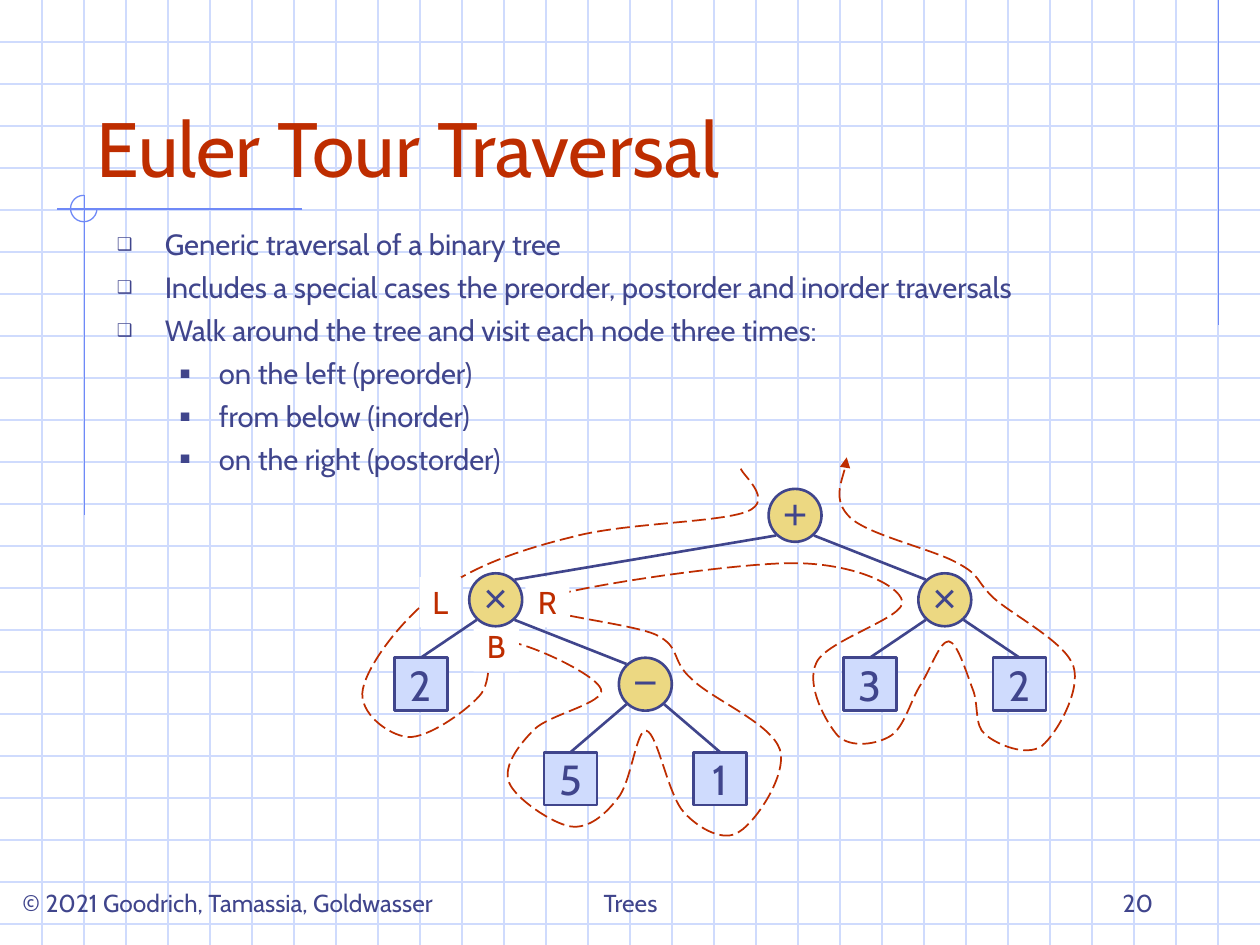
"""Build the Euler tour traversal slide."""
from lxml import etree
from pptx import Presentation
from pptx.dml.color import RGBColor
from pptx.enum.dml import MSO_LINE
from pptx.enum.shapes import MSO_CONNECTOR, MSO_SHAPE
from pptx.enum.text import MSO_ANCHOR, PP_ALIGN
from pptx.oxml.ns import qn
from pptx.util import Inches, Pt

STRAIGHT = MSO_CONNECTOR.STRAIGHT
RECT, OVAL, ARC = MSO_SHAPE.RECTANGLE, MSO_SHAPE.OVAL, MSO_SHAPE.ARC
LEFT, CENTER, RIGHT = PP_ALIGN.LEFT, PP_ALIGN.CENTER, PP_ALIGN.RIGHT
TOP, MIDDLE, BOTTOM = MSO_ANCHOR.TOP, MSO_ANCHOR.MIDDLE, MSO_ANCHOR.BOTTOM
LONG_DASH = MSO_LINE.LONG_DASH
THEME = {
    "ink": RGBColor.from_string("40458C"),
    "red": RGBColor.from_string("BE2D00"),
    "grid": RGBColor.from_string("CFDBFD"),
    "accent": RGBColor.from_string("6F89F7"),
    "gold": RGBColor.from_string("ECD882"),
    "white": RGBColor.from_string("FFFFFF"),
    "font": "Cabin", "symbols": "Arial",
    "title": 44, "body": 16.7, "node": 24, "label": 18, "footer": 14,
    "thin": 0.74, "thick": 1.5, "dash": 1,
}

prs = Presentation()
prs.slide_width, prs.slide_height = Inches(10), Inches(7.5)
s = prs.slides.add_slide(prs.slide_layouts[6])


def add_line(x1, y1, x2, y2, color, width):
    line = s.shapes.add_connector(
        STRAIGHT, Inches(x1), Inches(y1), Inches(x2), Inches(y2))
    line.line.color.rgb = THEME[color]
    line.line.width = Pt(THEME[width])
    etree.SubElement(line._element.spPr, qn("a:effectLst"))


def set_text(sp, text, size, color="ink", font="font", align=LEFT, anchor=TOP, wrap=True):
    tf = sp.text_frame
    tf.text = text
    tf.word_wrap = wrap
    tf.vertical_anchor = anchor
    for p in tf.paragraphs:
        p.alignment = align
        for r in p.runs:
            r.font.name = THEME[font]
            r.font.size = Pt(THEME[size])
            r.font.color.rgb = THEME[color]
    return tf


for i in range(1, 23):
    add_line(0, i / 3, 10, i / 3, "grid", "thin")
for i in range(1, 30):
    add_line(i / 3, 0, i / 3, 7.5, "grid", "thin")
for ends in [(9.67, 0, 9.67, 2.58), (2.4, 1.66, 0.45, 1.66), (0.67, 1.55, 0.67, 4.09)]:
    add_line(*ends, "accent", "thin")
ring = s.shapes.add_shape(ARC, Inches(0.56), Inches(1.55), Inches(0.21), Inches(0.21))
ring.adjustments[0], ring.adjustments[1] = 0, 162
ring.fill.background()
ring.line.color.rgb = THEME["accent"]
ring.line.width = Pt(THEME["thin"])
ring.shadow.inherit = False

bullets = [
    (0, "Generic traversal of a binary tree"),
    (0, "Includes a special cases the preorder, postorder and inorder traversals"),
    (0, "Walk around the tree and visit each node three times:"),
    (1, "on the left (preorder)"),
    (1, "from below (inorder)"),
    (1, "on the right (postorder)"),
]
texts = [
    (0.67, 0.33, 8.5, 1.25, "Euler Tour Traversal", "title", "red", LEFT, BOTTOM),
    (0.08, 6.83, 3.92, 0.5, "© 2021 Goodrich, Tamassia, Goldwasser", "footer", "ink", LEFT, BOTTOM),
    (3.42, 6.83, 3.17, 0.5, "Trees", "footer", "ink", CENTER, BOTTOM),
    (7.17, 6.83, 2.08, 0.5, "20", "footer", "ink", RIGHT, BOTTOM),
    (0.83, 1.75, 8.67, 2.33, "\n".join(t for _, t in bullets), "body", "ink", LEFT, TOP),
]
for x, y, w, h, text, size, color, align, anchor in texts:
    sp = s.shapes.add_textbox(Inches(x), Inches(y), Inches(w), Inches(h))
    tf = set_text(sp, text, size, color, align=align, anchor=anchor)

levels = [("❑", 0.38, 0.38), ("■", 0.81, 0.31)]
for p, (level, _) in zip(tf.paragraphs, bullets):
    mark, margin, hang = levels[level]
    p.level = level
    p.space_before = Pt(4.5)
    pPr = p._p.get_or_add_pPr()
    pPr.set("marL", str(Inches(margin)))
    pPr.set("indent", str(-Inches(hang)))
    etree.SubElement(pPr, qn("a:buSzPct"), val="60000")
    etree.SubElement(pPr, qn("a:buFont"), typeface=THEME["symbols"])
    etree.SubElement(pPr, qn("a:buChar"), char=mark)

tour_start = (5.88, 3.72)
tour_curves = [
    (5.89, 3.77, 6.15, 3.97, 5.93, 4.06), (5.7, 4.15, 4.96, 4.15, 4.55, 4.26),
    (4.14, 4.36, 3.76, 4.49, 3.48, 4.7), (3.2, 4.9, 2.92, 5.27, 2.88, 5.47),
    (2.84, 5.66, 3.09, 5.84, 3.24, 5.85), (3.39, 5.86, 3.68, 5.66, 3.8, 5.53),
    (3.93, 5.4, 3.83, 5.1, 3.99, 5.09), (4.15, 5.08, 4.73, 5.35, 4.77, 5.47),
    (4.81, 5.58, 4.36, 5.67, 4.24, 5.79), (4.12, 5.91, 3.99, 6.08, 4.04, 6.21),
    (4.09, 6.34, 4.39, 6.54, 4.53, 6.56), (4.67, 6.58, 4.8, 6.47, 4.9, 6.34),
    (5.01, 6.22, 5.05, 5.78, 5.13, 5.8), (5.22, 5.82, 5.3, 6.31, 5.43, 6.45),
    (5.55, 6.58, 5.75, 6.69, 5.87, 6.6), (6, 6.52, 6.25, 6.15, 6.19, 5.95),
    (6.12, 5.74, 5.65, 5.55, 5.49, 5.39), (5.32, 5.24, 5.41, 5.14, 5.21, 5.04),
    (5, 4.94, 4.09, 4.86, 4.27, 4.77), (4.45, 4.67, 5.81, 4.47, 6.29, 4.47),
    (6.77, 4.47, 7.13, 4.64, 7.16, 4.77), (7.2, 4.9, 6.56, 5.08, 6.48, 5.26),
    (6.39, 5.44, 6.56, 5.74, 6.65, 5.84), (6.75, 5.94, 6.96, 5.91, 7.07, 5.84),
    (7.18, 5.77, 7.23, 5.55, 7.31, 5.43), (7.39, 5.3, 7.46, 5.09, 7.53, 5.09),
    (7.6, 5.1, 7.67, 5.34, 7.72, 5.47), (7.77, 5.59, 7.73, 5.76, 7.82, 5.83),
    (7.91, 5.91, 8.15, 6.01, 8.27, 5.92), (8.39, 5.82, 8.58, 5.48, 8.52, 5.29),
    (8.46, 5.1, 8.05, 4.89, 7.89, 4.75), (7.74, 4.61, 7.79, 4.57, 7.6, 4.47),
    (7.41, 4.36, 6.9, 4.25, 6.75, 4.11), (6.6, 3.97, 6.72, 3.73, 6.72, 3.63),
]
coords = [Inches(v) for curve in tour_curves for v in curve]
builder = s.shapes.build_freeform(Inches(tour_start[0]), Inches(tour_start[1]))
builder.add_line_segments(list(zip(coords[::2], coords[1::2])), close=False)
tour = builder.convert_to_shape()
segments = list(tour._element.iter(qn("a:lnTo")))
for i in range(0, len(segments), 3):
    curve = etree.Element(qn("a:cubicBezTo"))
    segments[i].addprevious(curve)
    for segment in segments[i:i + 3]:
        curve.append(segment[0])
        segment.getparent().remove(segment)
tour.shadow.inherit = False
tour.fill.background()
tour.line.color.rgb = THEME["red"]
tour.line.width = Pt(THEME["dash"])
tour.line.dash_style = LONG_DASH
etree.SubElement(tour.line._get_or_add_ln(), qn("a:tailEnd"), type="triangle")

for text, x, y, w in [("L", 3.33, 4.58, 0.33), ("B", 3.76, 4.93, 0.36), ("R", 4.17, 4.58, 0.35)]:
    sp = s.shapes.add_shape(RECT, Inches(x), Inches(y), Inches(w), Inches(0.4))
    sp.shadow.inherit = False
    sp.fill.solid()
    sp.fill.fore_color.rgb = THEME["white"]
    sp.line.fill.background()
    set_text(sp, text, "label", "red", align=CENTER, wrap=False)

rows = [3.88, 4.55, 5.22, 5.97]
node_size, x_first, x_step = 0.42, 3.34, 0.594
nodes = [
    ("+", 5, 0, None), ("×", 1, 1, 0), ("×", 7, 1, 0), ("2", 0, 2, 1), ("−", 3, 2, 1),
    ("3", 6, 2, 2), ("2", 8, 2, 2), ("5", 2, 3, 4), ("1", 4, 3, 4),
]
for text, col, row, parent in nodes[1:]:
    parent_col, parent_row = nodes[parent][1:3]
    side = 0.15 if col > parent_col else -0.15
    x, y = x_first + col * x_step, rows[row]
    if not text.isdigit():
        x, y = x - side, y + 0.05
    add_line(x_first + parent_col * x_step + side, rows[parent_row] + 0.37, x, y, "ink", "thick")
for text, col, row, _ in nodes:
    leaf = text.isdigit()
    sp = s.shapes.add_shape(
        RECT if leaf else OVAL, Inches(x_first + col * x_step - node_size / 2),
        Inches(rows[row]), Inches(node_size), Inches(node_size))
    sp.shadow.inherit = False
    sp.fill.solid()
    sp.fill.fore_color.rgb = THEME["grid" if leaf else "gold"]
    sp.line.color.rgb = THEME["ink"]
    sp.line.width = Pt(THEME["thick"])
    tf = set_text(sp, text, "node", font="font" if leaf else "symbols",
                  align=CENTER, anchor=MIDDLE, wrap=False)
    if not leaf:
        tf.margin_left = tf.margin_right = tf.margin_top = 0

prs.save("out.pptx")
